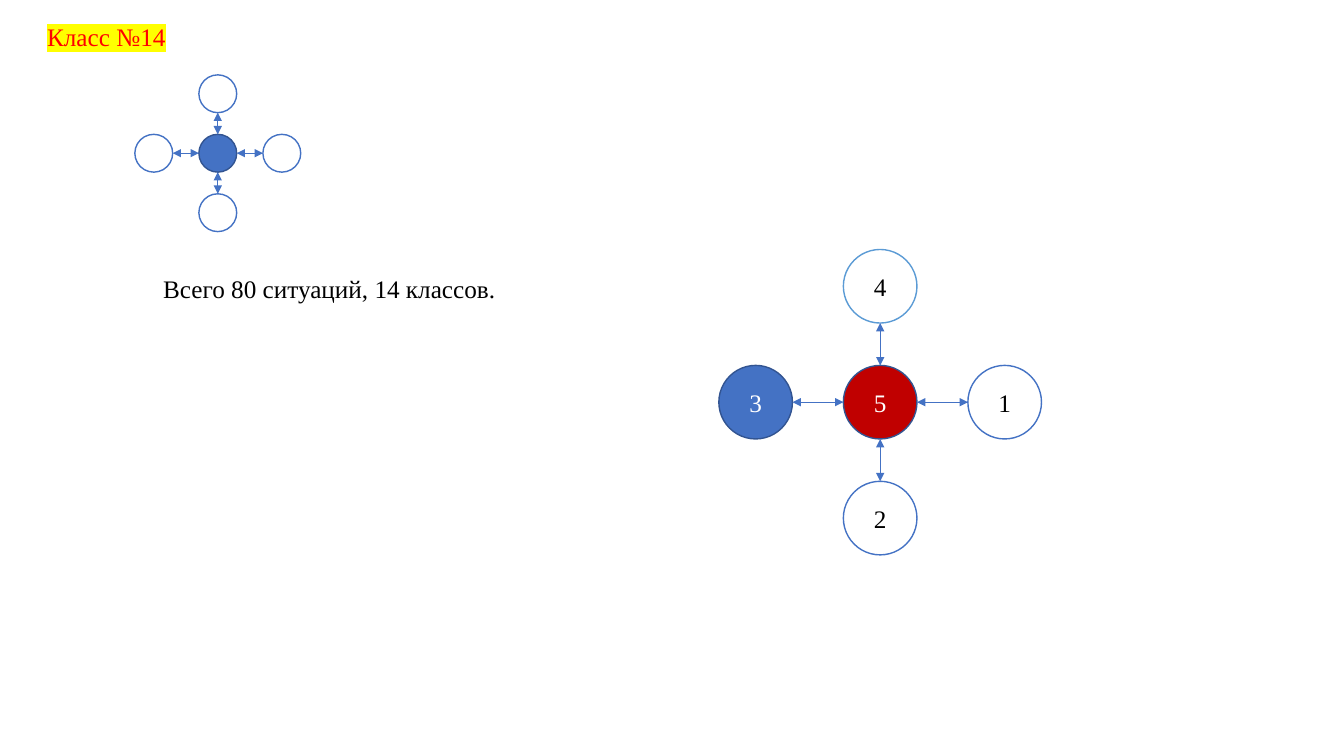
from lxml import etree
from pptx import Presentation
from pptx.dml.color import RGBColor
from pptx.enum import shapes, text
from pptx.oxml import ns
from pptx.util import Inches, Pt

BLUE = RGBColor(0x44, 0x72, 0xC4)
DARK_BLUE = RGBColor(0x32, 0x54, 0x91)
LIGHT_BLUE = RGBColor(0x5B, 0x9B, 0xD5)
CRIMSON = RGBColor(0xC0, 0x00, 0x00)
RED = RGBColor(0xFF, 0x00, 0x00)
WHITE = RGBColor(0xFF, 0xFF, 0xFF)
BLACK = RGBColor(0x00, 0x00, 0x00)

deck = Presentation()
deck.slide_width = Inches(13.33)
deck.slide_height = Inches(7.5)
page = deck.slides.add_slide(deck.slide_layouts[6])


def write(shape, words, color):
    """Put one styled run into the shape and return it."""
    shape.text_frame.text = words
    span = shape.text_frame.paragraphs[0].runs[0]
    span.font.size = Pt(18)
    span.font.color.rgb = color
    span.font.name = "Times New Roman"
    return span


def draw_cross(center_x, center_y, step_x, step_y, size, nodes):
    """Draw a hub with four neighbours joined by double arrows.

    Each node is (column, row, label, fill, outline, label color).
    """
    cross = page.shapes.add_group_shape()
    radius = size / 2
    for column, row, label, fill, outline, label_color in nodes:
        circle = cross.shapes.add_shape(
            shapes.MSO_SHAPE.OVAL,
            Inches(center_x + column * step_x - radius),
            Inches(center_y + row * step_y - radius),
            Inches(size), Inches(size))
        circle.shadow.inherit = False
        circle.fill.solid()
        circle.fill.fore_color.rgb = fill
        circle.line.color.rgb = outline
        circle.line.width = Pt(1)
        if label:
            write(circle, label, label_color)
            circle.text_frame.vertical_anchor = text.MSO_ANCHOR.MIDDLE
            circle.text_frame.paragraphs[0].alignment = text.PP_ALIGN.CENTER

    for column, row in ((-1, 0), (0, -1), (0, 1), (1, 0)):
        arrow = cross.shapes.add_connector(
            shapes.MSO_CONNECTOR.STRAIGHT,
            Inches(center_x + column * radius),
            Inches(center_y + row * radius),
            Inches(center_x + column * (step_x - radius)),
            Inches(center_y + row * (step_y - radius)))
        arrow.line.color.rgb = BLUE
        arrow.line.width = Pt(0.5)
        outline_xml = arrow.line._get_or_add_ln()
        for end in ("a:headEnd", "a:tailEnd"):
            etree.SubElement(outline_xml, ns.qn(end), type="triangle")
        etree.SubElement(arrow._element.spPr, ns.qn("a:effectLst"))


draw_cross(2.16, 1.52, 0.635, 0.59, 0.375, [
    (0, 0, "", BLUE, DARK_BLUE, WHITE),
    (-1, 0, "", WHITE, BLUE, BLACK),
    (0, 1, "", WHITE, BLUE, BLACK),
    (1, 0, "", WHITE, BLUE, BLACK),
    (0, -1, "", WHITE, BLUE, BLACK),
])

title = page.shapes.add_textbox(Inches(-0.05), Inches(0.16), Inches(2.21), Inches(0.4))
title.text_frame.word_wrap = True
title_span = write(title, "Класс №14", RED)
title.text_frame.paragraphs[0].alignment = text.PP_ALIGN.CENTER
highlight = etree.Element(ns.qn("a:highlight"))
etree.SubElement(highlight, ns.qn("a:srgbClr"), val="FFFF00")
title_span.font._element.find(ns.qn("a:solidFill")).addnext(highlight)

summary = page.shapes.add_textbox(Inches(1.52), Inches(2.66), Inches(3.53), Inches(0.4))
summary.text_frame.word_wrap = False
write(summary, "Всего 80 ситуаций, 14 классов.", BLACK)

draw_cross(8.73, 3.99, 1.235, 1.15, 0.73, [
    (0, 0, "5", CRIMSON, DARK_BLUE, WHITE),
    (-1, 0, "3", BLUE, DARK_BLUE, WHITE),
    (0, 1, "2", WHITE, BLUE, BLACK),
    (1, 0, "1", WHITE, BLUE, BLACK),
    (0, -1, "4", WHITE, LIGHT_BLUE, BLACK),
])

deck.save("out.pptx")
